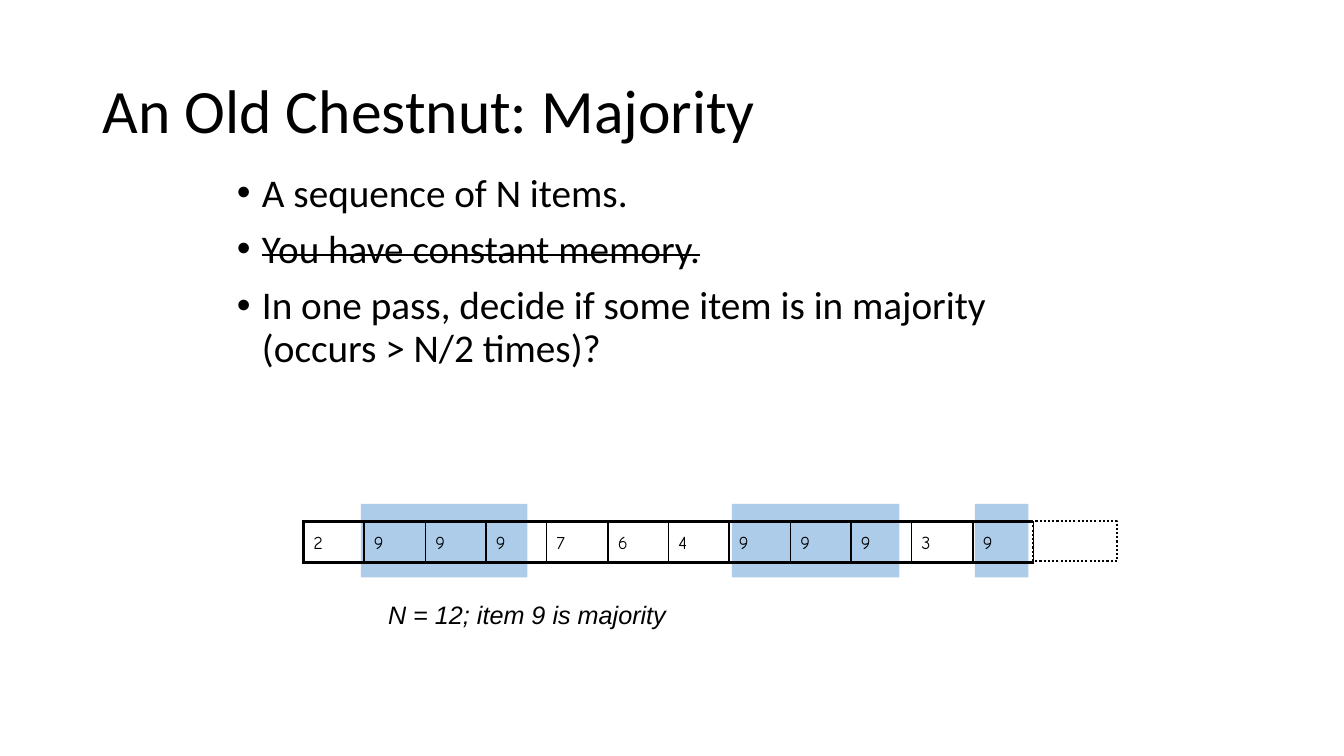
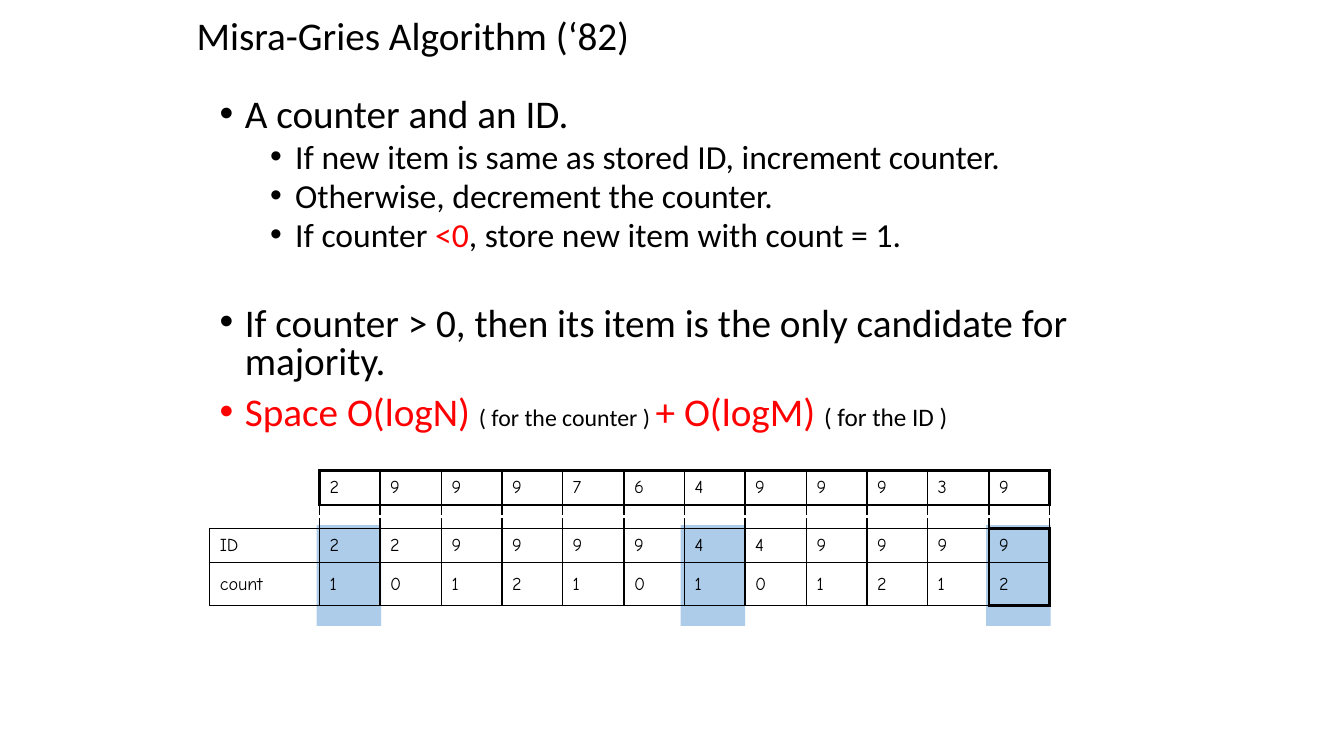
from dataclasses import dataclass

from lxml import etree
from pptx import Presentation
from pptx.dml.color import RGBColor
from pptx.enum.dml import MSO_LINE
from pptx.enum.shapes import MSO_CONNECTOR, MSO_SHAPE
from pptx.enum.text import MSO_ANCHOR, MSO_AUTO_SIZE, PP_ALIGN
from pptx.oxml.ns import qn
from pptx.util import Emu, Pt

RECT = MSO_SHAPE.RECTANGLE
STRAIGHT = MSO_CONNECTOR.STRAIGHT
DOTTED = MSO_LINE.ROUND_DOT
MIDDLE, TOP = MSO_ANCHOR.MIDDLE, MSO_ANCHOR.TOP
LEFT = PP_ALIGN.LEFT
NO_FIT = MSO_AUTO_SIZE.NONE
TITLE_ONLY = 5
EMU_PER_PX = 9144


@dataclass(frozen=True)
class Theme:
    ink: str = "000000"
    accent: str = "FF0000"
    highlight: str = "5B9BD5"
    highlight_alpha: int = 50
    body_font: str = "Calibri"
    cell_font: str = "Comic Neue"
    caption_font: str = "Arial"
    title: int = 44
    body: int = 28
    sub: int = 24
    caption: int = 18
    note: int = 17
    cell: int = 13
    spacer: int = 6
    thin: float = 1
    dotted: float = 1.5
    heavy: float = 2.25


@dataclass(frozen=True)
class Box:
    x: int
    y: int
    w: int
    h: int


@dataclass(frozen=True)
class Run:
    text: str
    size: int | None = None
    color: str | None = None
    strike: bool = False


@dataclass(frozen=True)
class Bullet:
    runs: tuple[Run, ...]
    level: int = 0
    before: int | None = None


@dataclass(frozen=True)
class Frame:
    top: int
    bottom: int
    left: int
    right: int


T = Theme()
ITEMS = "299976499939"
IDS = "229999449999"
COUNTS = "101210101212"
ROW_W = 724
LABEL_W = 109
TABLE_ROWS = (34, 23, 34, 43)
LINK_ROW = 1
FRAMES = (Frame(0, 0, 1, 12), Frame(2, 3, 12, 12))


def px(n: int) -> Emu:
    return Emu(n * EMU_PER_PX)


def place(box: Box) -> tuple[Emu, Emu, Emu, Emu]:
    return px(box.x), px(box.y), px(box.w), px(box.h)


def cell_edges(left: int) -> list[int]:
    n = len(ITEMS)
    return [left + round(i * ROW_W / n) for i in range(n + 1)]


def add_run(p, text: str, *, size: int, font: str = T.body_font, color: str = T.ink,
            italic: bool = False, strike: bool = False):
    r = p.add_run()
    r.text = text
    f = r.font
    f.size, f.name, f.italic = Pt(size), font, italic
    f.color.rgb = RGBColor.from_string(color)
    if strike:
        r._r.get_or_add_rPr().set("strike", "sngStrike")
    return r


def add_box(s, box: Box, anchor=TOP):
    tf = s.shapes.add_textbox(*place(box)).text_frame
    tf.word_wrap = True
    tf.vertical_anchor = anchor
    return tf


def add_title_slide(prs, title: str, box: Box, size: int):
    s = prs.slides.add_slide(prs.slide_layouts[TITLE_ONLY])
    sp = s.shapes.title
    sp.left, sp.top, sp.width, sp.height = place(box)
    tf = sp.text_frame
    tf.auto_size, tf.vertical_anchor, tf.word_wrap = NO_FIT, MIDDLE, True
    p = tf.paragraphs[0]
    p.alignment, p.line_spacing = LEFT, 0.9
    add_run(p, title, size=size)
    return s


def add_bullets(s, box: Box, bullets: list[Bullet], spacing: float) -> None:
    tf = add_box(s, box)
    for i, b in enumerate(bullets):
        p = tf.paragraphs[0] if i == 0 else tf.add_paragraph()
        p.level, p.line_spacing = b.level, spacing
        p.space_before = Pt(b.before or (5 if b.level else 10))
        pPr = p._p.get_or_add_pPr()
        pPr.set("marL", str(px(25 + 50 * b.level)))
        pPr.set("indent", str(px(-25)))
        etree.SubElement(pPr, qn("a:buFont")).set("typeface", "Arial")
        etree.SubElement(pPr, qn("a:buChar")).set("char", "•")
        for run in b.runs:
            add_run(p, run.text, size=run.size or (T.sub if b.level else T.body),
                    color=run.color or T.ink, strike=run.strike)


def add_highlights(s, boxes: list[Box]) -> None:
    for box in boxes:
        sp = s.shapes.add_shape(RECT, *place(box))
        sp.shadow.inherit = False
        sp.line.fill.background()
        sp.fill.solid()
        sp.fill.fore_color.rgb = RGBColor.from_string(T.highlight)
        clr = sp._element.spPr.find(".//" + qn("a:srgbClr"))
        etree.SubElement(clr, qn("a:alpha")).set("val", str(T.highlight_alpha * 1000))


def add_line(s, x1: int, y1: int, x2: int, y2: int, width: float) -> None:
    c = s.shapes.add_connector(STRAIGHT, px(x1), px(y1), px(x2), px(y2))
    c.line.color.rgb = RGBColor.from_string(T.ink)
    c.line.width = Pt(width)
    etree.SubElement(c._element.spPr, qn("a:effectLst"))


def write_cell(p, text: str) -> None:
    p.line_spacing = 0.95
    add_run(p, text, size=T.cell, font=T.cell_font)


def add_sequence(s, left: int, top: int, height: int) -> None:
    xs = cell_edges(left)
    right, bottom = xs[-1], top + height
    for item, x, nxt in zip(ITEMS, xs, xs[1:]):
        tf = add_box(s, Box(x, top, nxt - x, height), MIDDLE)
        write_cell(tf.paragraphs[0], item)
    for x in xs:
        add_line(s, x, top, x, bottom, T.heavy if x == left else T.thin)
    for y in (top, bottom - 2):
        add_line(s, left - 1, y, right, y, T.heavy)
    sp = s.shapes.add_shape(RECT, *place(Box(right, top, 83, 40)))
    sp.shadow.inherit = False
    sp.fill.background()
    sp.line.color.rgb = RGBColor.from_string(T.ink)
    sp.line.width, sp.line.dash_style = Pt(T.dotted), DOTTED


def edge_width(row: int, col: int, side: str) -> float:
    if col == 0 and row <= LINK_ROW and not (side == "R" or (side == "B" and row == LINK_ROW)):
        return 0
    x, y = col + (side == "R"), row + (side == "B")
    for f in FRAMES:
        if side in "LR":
            heavy = f.top <= row <= f.bottom and x in (f.left, f.right + 1)
        else:
            heavy = f.left <= col <= f.right and y in (f.top, f.bottom + 1)
        if heavy:
            return T.heavy
    return T.thin


def set_borders(cell, row: int, col: int) -> None:
    tcPr = cell._tc.get_or_add_tcPr()
    for i, side in enumerate("LRTB"):
        width = edge_width(row, col, side)
        ln = etree.Element(qn(f"a:ln{side}"), w=str(Pt(width)))
        if width:
            fill = etree.SubElement(ln, qn("a:solidFill"))
            etree.SubElement(fill, qn("a:srgbClr")).set("val", T.ink)
            if row == LINK_ROW and side in "LR":
                etree.SubElement(ln, qn("a:prstDash")).set("val", "sysDash")
        else:
            etree.SubElement(ln, qn("a:noFill"))
        tcPr.insert(i, ln)


def add_trace_table(s, left: int, top: int) -> None:
    xs = [left] + cell_edges(left + LABEL_W)
    rows = (["", *ITEMS], [""] * (len(ITEMS) + 1), ["ID", *IDS], ["count", *COUNTS])
    box = Box(left, top, LABEL_W + ROW_W, sum(TABLE_ROWS))
    tbl = s.shapes.add_table(len(rows), len(xs) - 1, *place(box)).table
    tbl.first_row = tbl.horz_banding = False
    for col, x, nxt in zip(tbl.columns, xs, xs[1:]):
        col.width = px(nxt - x)
    for r, (values, height) in enumerate(zip(rows, TABLE_ROWS)):
        tbl.rows[r].height = px(height)
        for c, value in enumerate(values):
            cell = tbl.cell(r, c)
            cell.fill.background()
            cell.vertical_anchor = MIDDLE
            set_borders(cell, r, c)
            p = cell.text_frame.paragraphs[0]
            if value:
                write_cell(p, value)
            else:
                etree.SubElement(p._p, qn("a:endParaRPr")).set("sz", str(T.spacer * 100))


def build_majority(prs) -> None:
    s = add_title_slide(prs, "An Old Chestnut: Majority", Box(92, 40, 1150, 145), T.title)
    add_highlights(s, [Box(x, 500, w, 73) for x, w in ((358, 165), (726, 166), (967, 53))])
    add_bullets(s, Box(225, 167, 858, 267), [
        Bullet((Run("A sequence of N items."),)),
        Bullet((Run("You have constant memory.", strike=True),)),
        Bullet((Run("In one pass, decide if some item is in majority (occurs > N/2 times)?"),)),
    ], 0.9)
    add_sequence(s, 301, 517, 43)
    tf = add_box(s, Box(375, 590, 358, 40))
    add_run(tf.paragraphs[0], "N = 12; item 9 is majority", size=T.caption,
            font=T.caption_font, italic=True)


def build_misra_gries(prs) -> None:
    s = add_title_slide(prs, "Misra-Gries Algorithm (‘82)", Box(185, 7, 966, 60), T.body)
    add_highlights(s, [Box(x, 521, 64, 100) for x in (314, 675, 978)])
    add_bullets(s, Box(208, 93, 900, 349), [
        Bullet((Run("A counter and an ID."),)),
        Bullet((Run("If new item is same as stored ID, increment counter."),), 1),
        Bullet((Run("Otherwise, decrement the counter."),), 1),
        Bullet((Run("If counter "), Run("<0", color=T.accent),
                Run(", store new item with count = 1.")), 1),
        Bullet((Run("If counter > 0, then its item is the only candidate for majority."),),
               before=38),
        Bullet((Run("Space O(logN) ", color=T.accent), Run("( for the counter ) ", T.note),
                Run("+ O(logM) ", color=T.accent), Run("( for the ID )", T.caption))),
    ], 0.8)
    add_trace_table(s, 208, 467)


def main() -> None:
    prs = Presentation()
    prs.slide_width, prs.slide_height = px(1333), px(750)
    build_majority(prs)
    build_misra_gries(prs)
    prs.save("out.pptx")


if __name__ == "__main__":
    main()
